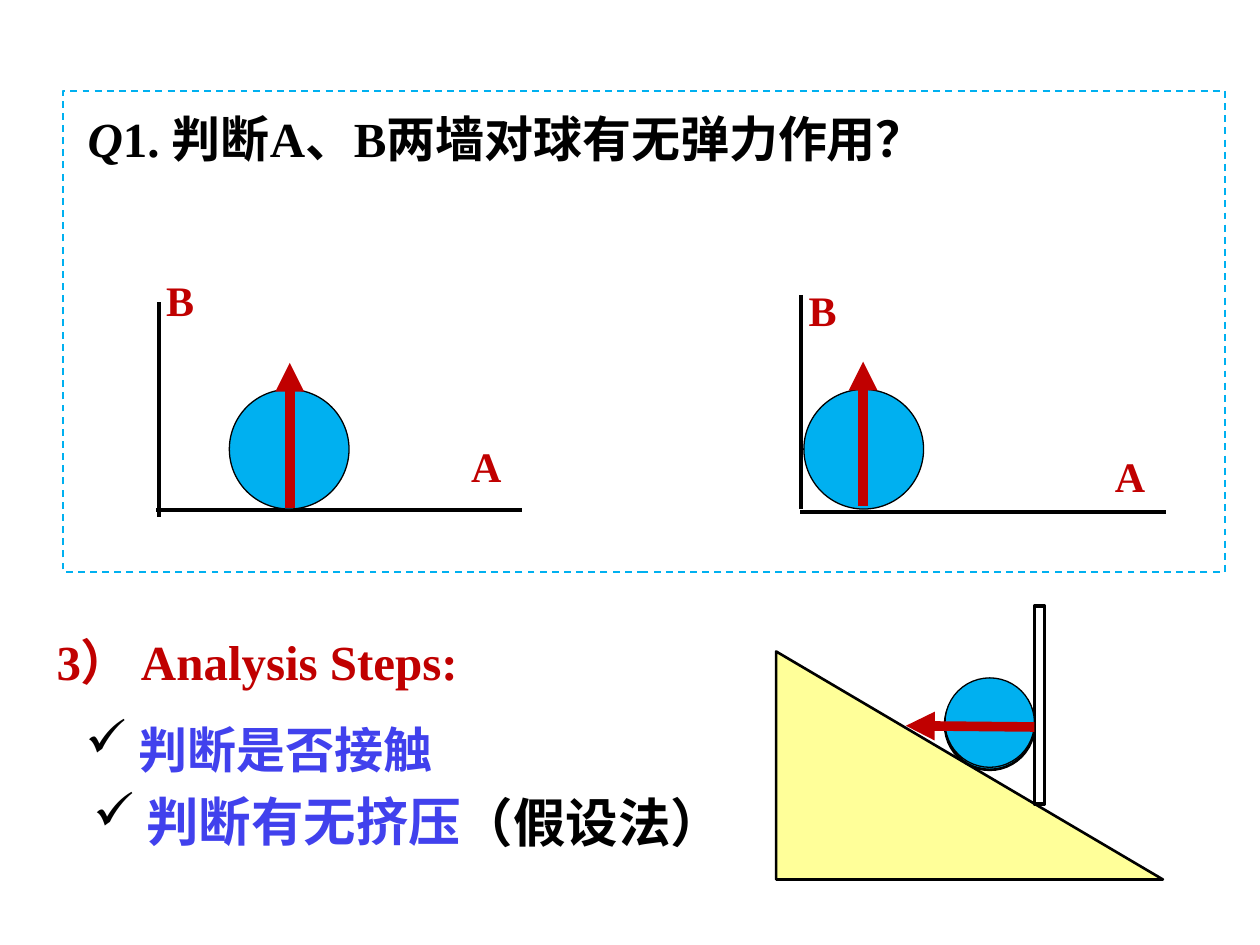
from lxml import etree
from pptx import Presentation
from pptx.dml.color import RGBColor
from pptx.enum.dml import MSO_LINE
from pptx.enum.shapes import MSO_CONNECTOR, MSO_SHAPE
from pptx.enum.text import MSO_ANCHOR, PP_ALIGN
from pptx.oxml.ns import qn
from pptx.util import Inches, Pt

RECTANGLE = MSO_SHAPE.RECTANGLE
OVAL = MSO_SHAPE.OVAL
RIGHT_TRIANGLE = MSO_SHAPE.RIGHT_TRIANGLE
STRAIGHT = MSO_CONNECTOR.STRAIGHT
DASH = MSO_LINE.DASH
TOP = MSO_ANCHOR.TOP
LEFT = PP_ALIGN.LEFT

FONT = "Times New Roman"
COLORS = {
    "black": "000000",
    "white": "FFFFFF",
    "sky": "00B0F0",
    "red": "C00000",
    "blue": "4141ED",
    "yellow": "FFFF99",
}


def color(name):
    return RGBColor.from_string(COLORS[name])


def set_line(line, name, width):
    line.color.rgb = color(name)
    line.width = Pt(width)


def add_figure(slide, kind, box, fill, line, width):
    """Add a preset shape; fill None leaves it hollow."""
    shape = slide.shapes.add_shape(kind, *map(Inches, box))
    shape.shadow.inherit = False
    if fill:
        shape.fill.solid()
        shape.fill.fore_color.rgb = color(fill)
    else:
        shape.fill.background()
    set_line(shape.line, line, width)
    return shape


def add_line(slide, start, end, name="black", width=2.25, arrow=False):
    connector = slide.shapes.add_connector(
        STRAIGHT, *map(Inches, (*start, *end)))
    set_line(connector.line, name, width)
    if arrow:
        etree.SubElement(connector.line._get_or_add_ln(),
                         qn("a:tailEnd"), type="triangle")
    etree.SubElement(connector._element.spPr, qn("a:effectLst"))


def write_runs(shape, runs, wrap=True, spacing=None, bullet=None):
    """Fill a shape with one paragraph of (text, font values) runs."""
    frame = shape.text_frame
    frame.word_wrap = wrap
    frame.vertical_anchor = TOP
    paragraph = frame.paragraphs[0]
    paragraph.alignment = LEFT
    if spacing:
        paragraph.line_spacing = spacing
    if bullet:
        properties = paragraph._p.get_or_add_pPr()
        etree.SubElement(properties, qn("a:buChar"), char=bullet)
    for text, values in runs:
        run = paragraph.add_run()
        run.text = text
        font_values = {"name": FONT, "bold": True, "size": Pt(28)} | values
        name = font_values.pop("color", "black")
        for attribute, value in font_values.items():
            setattr(run.font, attribute, value)
        run.font.color.rgb = color(name)


def add_text(slide, box, runs, **options):
    write_runs(slide.shapes.add_textbox(*map(Inches, box)), runs, **options)


def add_force(slide, start, end):
    add_line(slide, start, end, "red", 5.5, arrow=True)


def add_corner(slide, wall, floor, ball_left, labels, force):
    """Wall B and floor A with a ball, labels and the supporting force."""
    add_line(slide, *floor)
    add_line(slide, *wall)
    add_figure(slide, OVAL, (ball_left, 3.09, 0.95, 0.95),
               "sky", "black", 0.75)
    for letter, (left, top) in labels.items():
        add_text(slide, (left, top, 0.45, 0.5),
                 [(letter, {"size": Pt(24), "color": "red"})], wrap=False)
    add_force(slide, *force)


def add_question(slide):
    frame = add_figure(slide, RECTANGLE, (0.5, 0.72, 9.22, 3.82),
                       None, "sky", 1)
    frame.line.dash_style = DASH
    write_runs(frame, [
        (" ", {}),
        ("Q", {"italic": True}),
        ("1. 判断A、B两墙对球有无弹力作用？", {}),
    ], spacing=1.2)


def add_steps(slide):
    large = {"size": Pt(30)}
    add_text(slide, (0.35, 4.96, 3.62, 0.57),
             [("3） Analysis Steps:", {"color": "red"})])
    add_text(slide, (0.58, 5.53, 3.5, 0.71),
             [(" ", large), ("判断是否接触", {"color": "blue"})],
             spacing=1.2, bullet="✓")
    add_text(slide, (0.64, 6.21, 3.33, 0.61),
             [(" ", large), ("判断有无挤压", large | {"color": "blue"})],
             bullet="✓")
    add_text(slide, (3.56, 6.22, 2.28, 0.61), [("（假设法）", large)])


def add_incline(slide):
    add_figure(slide, RIGHT_TRIANGLE, (6.16, 5.17, 3.07, 1.81),
               "yellow", "black", 1.5)
    add_figure(slide, RECTANGLE, (8.21, 4.81, 0.08, 1.57),
               "white", "black", 2)
    for top, width in ((5.4, 1.5), (5.38, 0.75)):
        add_figure(slide, OVAL, (7.5, top, 0.71, 0.71),
                   "sky", "black", width)
    add_force(slide, (8.21, 5.77), (7.19, 5.76))


def main():
    presentation = Presentation()
    presentation.slide_width = Inches(10)
    presentation.slide_height = Inches(7.5)
    slide = presentation.slides.add_slide(presentation.slide_layouts[6])

    # Framed question
    add_question(slide)

    # Ball away from the wall, then ball touching it
    add_corner(slide, wall=((1.26, 2.4), (1.26, 4.1)),
               floor=((1.24, 4.05), (4.14, 4.05)), ball_left=1.82,
               labels={"B": (1.22, 2.13), "A": (3.64, 3.45)},
               force=((2.3, 4.03), (2.3, 2.88)))
    add_corner(slide, wall=((6.36, 2.34), (6.36, 4.04)),
               floor=((6.35, 4.06), (9.25, 4.06)), ball_left=6.38,
               labels={"B": (6.32, 2.21), "A": (8.75, 3.53)},
               force=((6.85, 4.02), (6.85, 2.87)))

    # Analysis steps and the ball held on an incline
    add_steps(slide)
    add_incline(slide)

    presentation.save("out.pptx")


if __name__ == "__main__":
    main()
